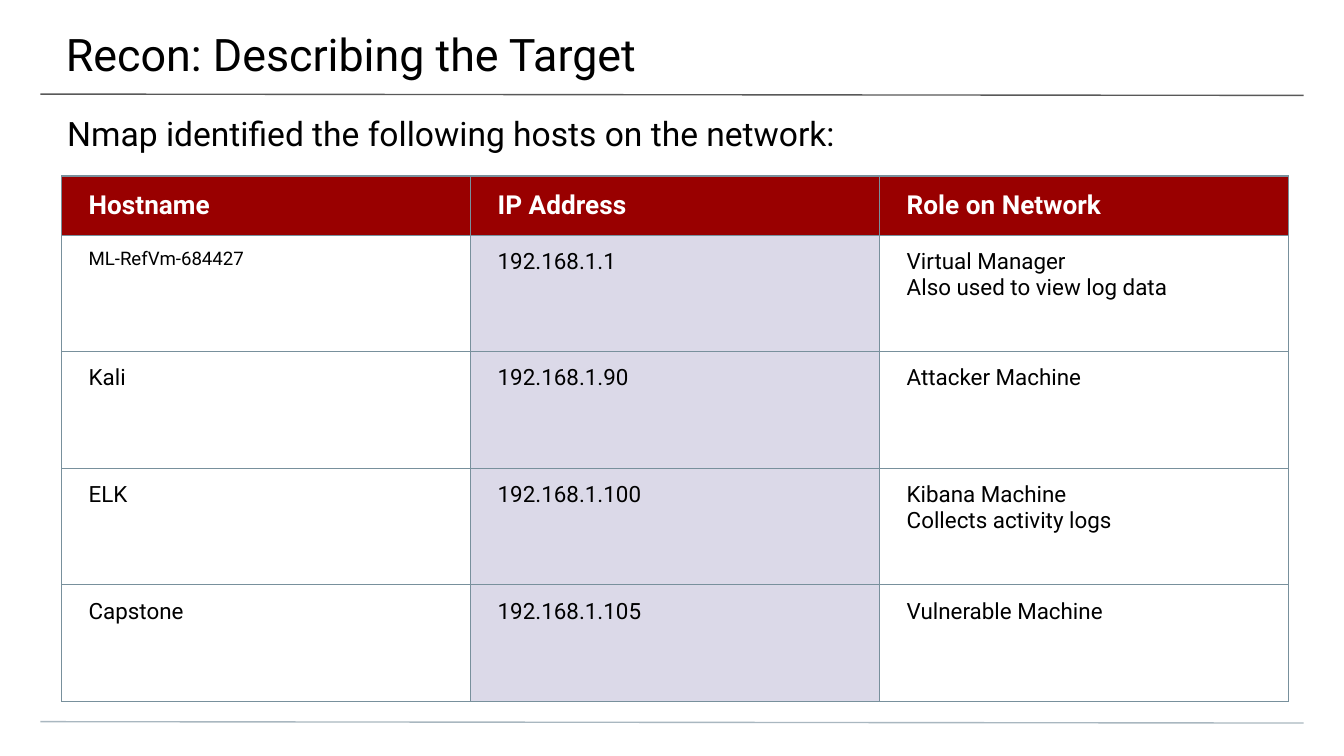
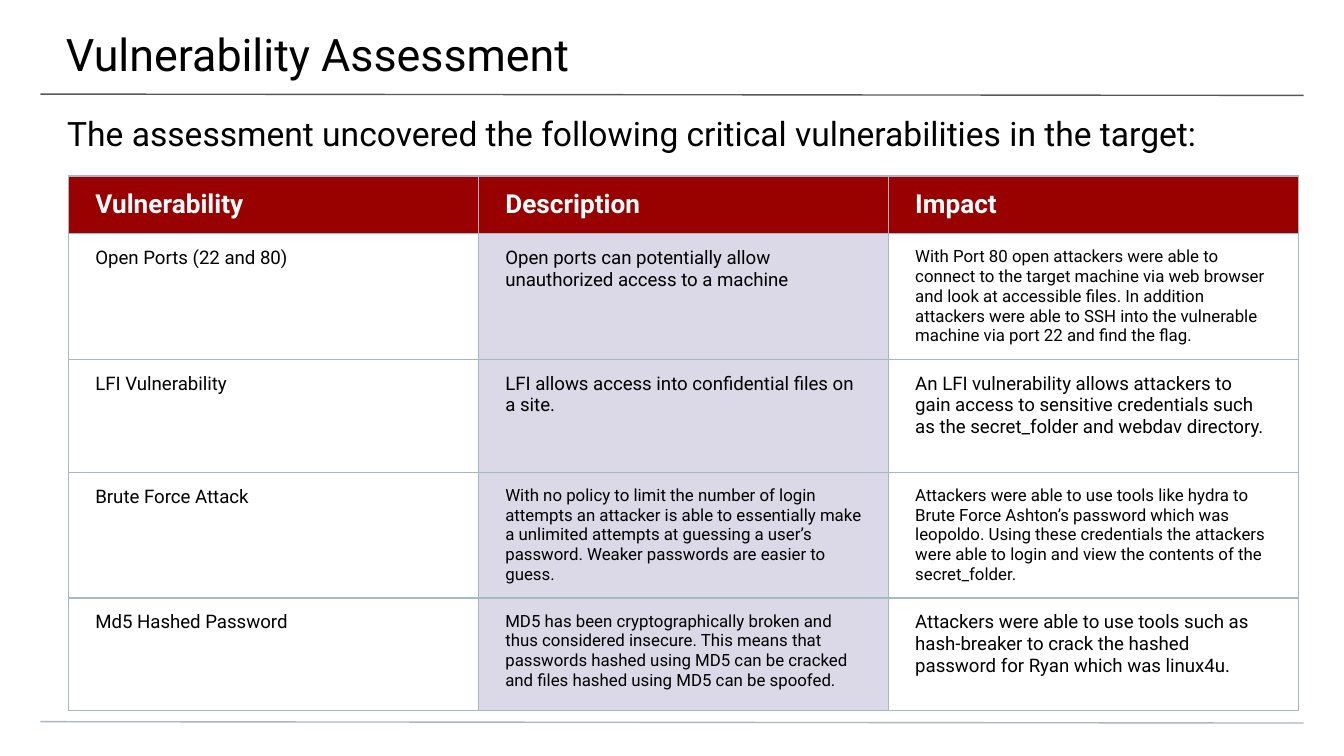
from lxml import etree
from pptx import Presentation
from pptx.dml.color import RGBColor
from pptx.enum.text import MSO_ANCHOR, MSO_AUTO_SIZE, PP_ALIGN
from pptx.oxml.ns import qn
from pptx.util import Inches, Pt

TOP, MIDDLE = MSO_ANCHOR.TOP, MSO_ANCHOR.MIDDLE
LEFT = PP_ALIGN.LEFT
NO_AUTOFIT = MSO_AUTO_SIZE.NONE

BLACK = RGBColor(0x00, 0x00, 0x00)
WHITE = RGBColor(0xFF, 0xFF, 0xFF)
HEADER_RED = RGBColor(0x99, 0x00, 0x00)
LAVENDER = RGBColor(0xDB, 0xD9, 0xE8)
RULE_GRAY = RGBColor(0x59, 0x59, 0x59)
PALE_BLUE = RGBColor(0xA9, 0xB7, 0xC0)
SLATE = RGBColor(0x78, 0x90, 0x9C)

FONT = "Roboto"
LINE_WIDTH = Pt(0.75)
SLIDE_WIDTH, SLIDE_HEIGHT = Inches(10), Inches(5.625)
GRID_COLUMNS, GRID_ROWS = 100, 56.25

TITLE_BOX = (-0.1, 0, 100.3, 5.8)
SUBTITLE_BOX = (0, 7.4, 100, 4)
TITLE_INSETS = (5, 2, 3, 1)
SUBTITLE_INSETS = (5, 1, 5, 0)
CELL_INSETS = (2, 1, 2, 1)
RULES = ((7, RULE_GRAY), (53.7, PALE_BLUE))

HOSTS = (
    ("Hostname", "IP Address", "Role on Network"),
    ("ML-RefVm-684427", "192.168.1.1",
     "Virtual Manager\nAlso used to view log data"),
    ("Kali", "192.168.1.90", "Attacker Machine"),
    ("ELK", "192.168.1.100", "Kibana Machine\nCollects activity logs"),
    ("Capstone", "192.168.1.105", "Vulnerable Machine"),
)

VULNERABILITIES = (
    ("Vulnerability", "Description", "Impact"),
    ("Open Ports (22 and 80)",
     "Open ports can potentially allow unauthorized access to a machine",
     "With Port 80 open attackers were able to connect to the target machine "
     "via web browser and look at accessible files. In addition attackers "
     "were able to SSH into the vulnerable machine via port 22 and find the "
     "flag."),
    ("LFI Vulnerability",
     "LFI allows access into confidential files on a site.",
     "An LFI vulnerability allows attackers to gain access to sensitive "
     "credentials such as the secret_folder and webdav directory."),
    ("Brute Force Attack",
     "With no policy to limit the number of login attempts an attacker is "
     "able to essentially make a unlimited attempts at guessing a user’s "
     "password. Weaker passwords are easier to guess.",
     "Attackers were able to use tools like hydra to Brute Force Ashton’s "
     "password which was leopoldo. Using these credentials the attackers "
     "were able to login and view the contents of the secret_folder."),
    ("Md5 Hashed Password",
     "MD5 has been cryptographically broken and thus considered insecure. "
     "This means that passwords hashed using MD5 can be cracked and files "
     "hashed using MD5 can be spoofed.",
     "Attackers were able to use tools such as hash-breaker to crack the "
     "hashed password for Ryan which was linux4u."),
)


def across(columns):
    return round(SLIDE_WIDTH * columns / GRID_COLUMNS)


def down(rows):
    return round(SLIDE_HEIGHT * rows / GRID_ROWS)


def set_insets(target, insets):
    left, top, right, bottom = insets
    target.margin_left, target.margin_right = across(left), across(right)
    target.margin_top, target.margin_bottom = down(top), down(bottom)


def write_text(text_frame, text, size, color=BLACK, bold=False):
    text_frame.word_wrap = True
    for index, line in enumerate(text.split("\n")):
        paragraph = text_frame.paragraphs[0] if index == 0 else text_frame.add_paragraph()
        paragraph.alignment = LEFT
        paragraph.line_spacing = 1.0
        paragraph.space_before = paragraph.space_after = Pt(0)
        run = paragraph.add_run()
        run.text = line
        run.font.name = FONT
        run.font.size = Pt(size)
        run.font.bold = bold
        run.font.color.rgb = color


def fill_placeholder(shape, box, insets, text, size):
    left, top, width, height = box
    shape.left, shape.top = across(left), down(top)
    shape.width, shape.height = across(width), down(height)
    text_frame = shape.text_frame
    text_frame.auto_size = NO_AUTOFIT
    text_frame.vertical_anchor = TOP
    set_insets(text_frame, insets)
    write_text(text_frame, text, size)


def add_rule(slide, row, color):
    connector = slide.shapes.add_connector(
        1, across(3), down(row), across(97), down(row + 0.1))
    connector.line.color.rgb = color
    connector.line.width = LINE_WIDTH
    etree.SubElement(connector._element.spPr, qn("a:effectLst"))


def add_borders(cell, color):
    properties = cell._tc.get_or_add_tcPr()
    for side in ("lnL", "lnR", "lnT", "lnB"):
        border = etree.SubElement(properties, qn(f"a:{side}"), w=str(int(LINE_WIDTH)))
        fill = etree.SubElement(border, qn("a:solidFill"))
        etree.SubElement(fill, qn("a:srgbClr"), val=str(color))


def format_cell(cell, text, size, border, fill=None, header=False):
    add_borders(cell, border)
    set_insets(cell, CELL_INSETS)
    cell.vertical_anchor = MIDDLE if header else TOP
    if fill is None:
        cell.fill.background()
    else:
        cell.fill.solid()
        cell.fill.fore_color.rgb = fill
    write_text(cell.text_frame, text, size, color=WHITE if header else BLACK, bold=header)


def add_findings_table(slide, box, records, header_height, border, text_size):
    left, top, width, height = box
    row_count, column_count = len(records), len(records[0])
    table = slide.shapes.add_table(
        row_count, column_count, across(left), down(top), across(width), down(height)).table
    table.first_row = table.horz_banding = False
    record_height = (height - header_height) / (row_count - 1)
    for column in table.columns:
        column.width = across(width / column_count)
    for row_index, record in enumerate(records):
        header = row_index == 0
        table.rows[row_index].height = down(header_height if header else record_height)
        for column_index, text in enumerate(record):
            fill = HEADER_RED if header else LAVENDER if column_index == 1 else None
            size = 14 if header else text_size(text)
            format_cell(table.cell(row_index, column_index), text, size, border, fill, header)


def add_table_slide(presentation, title, subtitle, **table_format):
    slide = presentation.slides.add_slide(presentation.slide_layouts[0])
    for row, color in RULES:
        add_rule(slide, row, color)
    fill_placeholder(slide.shapes.title, TITLE_BOX, TITLE_INSETS, title, 24)
    fill_placeholder(slide.placeholders[1], SUBTITLE_BOX, SUBTITLE_INSETS, subtitle, 18)
    add_findings_table(slide, **table_format)


def host_text_size(text):
    return 10 if text.startswith("ML-") else 12


def vulnerability_text_size(text):
    return 9 if len(text) > 150 else 10


def main():
    presentation = Presentation()
    presentation.slide_width, presentation.slide_height = SLIDE_WIDTH, SLIDE_HEIGHT
    add_table_slide(
        presentation, "Recon: Describing the Target",
        "Nmap identified the following hosts on the network:",
        box=(4.6, 13.1, 91.3, 39.1), records=HOSTS, header_height=4.4,
        border=SLATE, text_size=host_text_size)
    add_table_slide(
        presentation, "Vulnerability Assessment",
        "The assessment uncovered the following critical vulnerabilities in the target:",
        box=(5.1, 13.1, 91.5, 37.9), records=VULNERABILITIES, header_height=4.3,
        border=PALE_BLUE, text_size=vulnerability_text_size)
    presentation.save("out.pptx")


if __name__ == "__main__":
    main()
